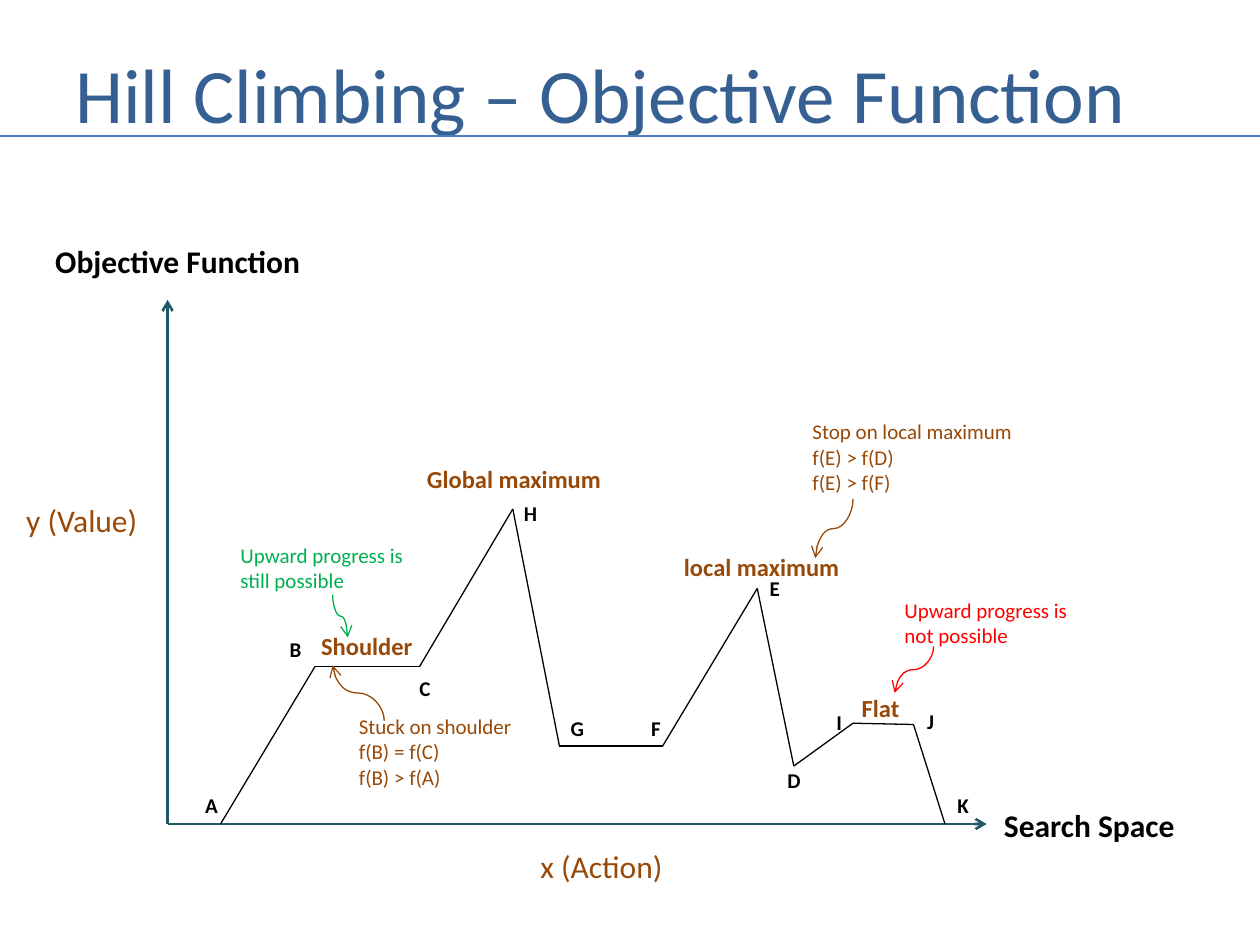
import pptx
import pptx.util
import pptx.dml.color
import pptx.enum.shapes
import pptx.enum.text
import pptx.oxml
import pptx.oxml.ns

RGBColor = pptx.dml.color.RGBColor
NAVY = RGBColor(0x37, 0x60, 0x92)
BLUE = RGBColor(0x4B, 0x7E, 0xBC)
TEAL = RGBColor(0x21, 0x59, 0x68)
BROWN = RGBColor(0x98, 0x48, 0x07)
GREEN = RGBColor(0x00, 0xB0, 0x50)
RED = RGBColor(0xFF, 0x00, 0x00)
BLACK = RGBColor(0x00, 0x00, 0x00)

# Grid of 10 columns by 7.5 rows
COLS, ROWS = 10, 7.5
WIDE, HIGH = pptx.util.Inches(10), pptx.util.Inches(7.5)
KIND = pptx.enum.shapes.MSO_CONNECTOR

# Points of the hill in order: name, point, corner and width of its label
HILL = [
    ("A", (1.75, 6.54), (1.53, 6.24), 0.3),
    ("B", (2.5, 5.29), (2.2, 5), 0.3),
    ("C", (3.33, 5.29), (3.23, 5.31), 0.29),
    ("H", (4.07, 4.04), (4.06, 3.92), 0.31),
    ("G", (4.44, 5.92), (4.43, 5.63), 0.31),
    ("F", (5.26, 5.92), (5.07, 5.63), 0.28),
    ("E", (6.01, 4.67), (6.01, 4.52), 0.29),
    ("D", (6.3, 6.08), (6.15, 6.04), 0.31),
    ("I", (6.77, 5.74), (6.54, 5.58), 0.3),
    ("J", (7.25, 5.75), (7.26, 5.57), 0.26),
    ("K", (7.5, 6.54), (7.5, 6.24), 0.29),
]

# Names of the axes: text, corner, width, colour, bold
AXES = [
    ("x (Action)", (4.19, 6.67), 1.21, BROWN, False),
    ("y (Value)", (0.11, 3.92), 1.1, BROWN, False),
    ("Search Space", (7.87, 6.34), 1.57, BLACK, True),
    ("Objective Function", (0.34, 1.87), 2.16, BLACK, True),
]

# Names of the regions: text, corner, width
AREAS = [
    ("Global maximum", (3.29, 3.63), 1.59),
    ("local maximum", (5.33, 4.33), 1.44),
    ("Shoulder", (2.45, 4.96), 0.93),
    ("Flat", (6.74, 5.45), 0.5),
]

# Notes: text, corner, width, colour, start and end of the arrow
NOTES = [
    ("Stuck on shoulder\nf(B) = f(C)\nf(B) > f(A)",
     (2.75, 5.61), 1.43, BROWN, (3.05, 5.72), (2.64, 5.28)),
    ("Stop on local maximum\nf(E) > f(D)\nf(E) > f(F)",
     (6.35, 3.27), 1.8, BROWN, (6.77, 3.96), (6.47, 4.43)),
    ("Upward progress is\nstill possible",
     (1.81, 4.25), 1.51, GREEN, (2.64, 4.72), (2.76, 5.06)),
    ("Upward progress is\nnot possible",
     (7.08, 4.69), 1.51, RED, (7.41, 5.13), (7.1, 5.5)),
]


def col(n):
    return round(WIDE * n / COLS)


def row(n):
    return round(HIGH * n / ROWS)


def text(slide, words, at, wide, high=None, size=12, color=BLACK, bold=False):
    lines = words.split("\n")
    # Without a given height, the box fits its lines plus the insets
    high = high or 0.1 + len(lines) * size * 1.22 / 72
    box = slide.shapes.add_textbox(col(at[0]), row(at[1]), col(wide), row(high))
    frame = box.text_frame
    frame.word_wrap = False
    frame.vertical_anchor = pptx.enum.text.MSO_ANCHOR.MIDDLE
    for i, line in enumerate(lines):
        para = frame.add_paragraph() if i else frame.paragraphs[0]
        run = para.add_run()
        run.text = line
        font = run.font
        font.name, font.size, font.bold = "Calibri", pptx.util.Pt(size), bold
        font.color.rgb = color


def line(slide, start, end, color, width=0.75, arrow=False, kind=KIND.STRAIGHT):
    link = slide.shapes.add_connector(
        kind, col(start[0]), row(start[1]), col(end[0]), row(end[1]))
    link.line.color.rgb = color
    link.line.width = pptx.util.Pt(width)
    if arrow:
        tail = pptx.oxml.parse_xml(
            "<a:tailEnd %s type='arrow'/>" % pptx.oxml.ns.nsdecls("a"))
        link.line._get_or_add_ln().append(tail)
    link._element.spPr.append(pptx.oxml.parse_xml(
        "<a:effectLst %s/>" % pptx.oxml.ns.nsdecls("a")))
    return link


def curve(slide, start, end, color):
    """Draw a curved arrow that leaves and arrives upright."""
    link = line(slide, start, end, color, arrow=True, kind=KIND.CURVE)
    # Turn by 90 degrees about the centre, with the sides swapped
    wide, high = link.width, link.height
    link.left += (wide - high) // 2
    link.top += (high - wide) // 2
    link.width, link.height = high, wide
    frame = link._element.spPr.xfrm
    frame.set("rot", "5400000")
    frame.set("flipH", str(int(end[1] < start[1])))
    frame.set("flipV", str(int(end[0] > start[0])))


def main():
    deck = pptx.Presentation()
    deck.slide_width, deck.slide_height = WIDE, HIGH
    slide = deck.slides.add_slide(deck.slide_layouts[6])

    # Title and rule
    text(slide, "Hill Climbing – Objective Function", (0.5, 0.3), 9.08,
         high=0.87, size=44, color=NAVY)
    line(slide, (0, 1.08), (COLS, 1.08), BLUE, width=1.5)

    # Axes
    for end in ((7.83, 6.54), (1.33, 2.38)):
        line(slide, (1.33, 6.54), end, TEAL, width=1.5, arrow=True)
    for words, at, wide, color, bold in AXES:
        text(slide, words, at, wide, size=18, color=color, bold=bold)

    # Hill
    for here, there in zip(HILL, HILL[1:]):
        line(slide, here[1], there[1], BLACK)
    for name, _, at, wide in HILL:
        text(slide, name, at, wide, bold=True)

    # Regions
    for words, at, wide in AREAS:
        text(slide, words, at, wide, size=14, color=BROWN, bold=True)

    # Notes with arrows
    for words, at, wide, color, start, end in NOTES:
        text(slide, words, at, wide, color=color)
        curve(slide, start, end, color)

    deck.save("out.pptx")


if __name__ == "__main__":
    main()
